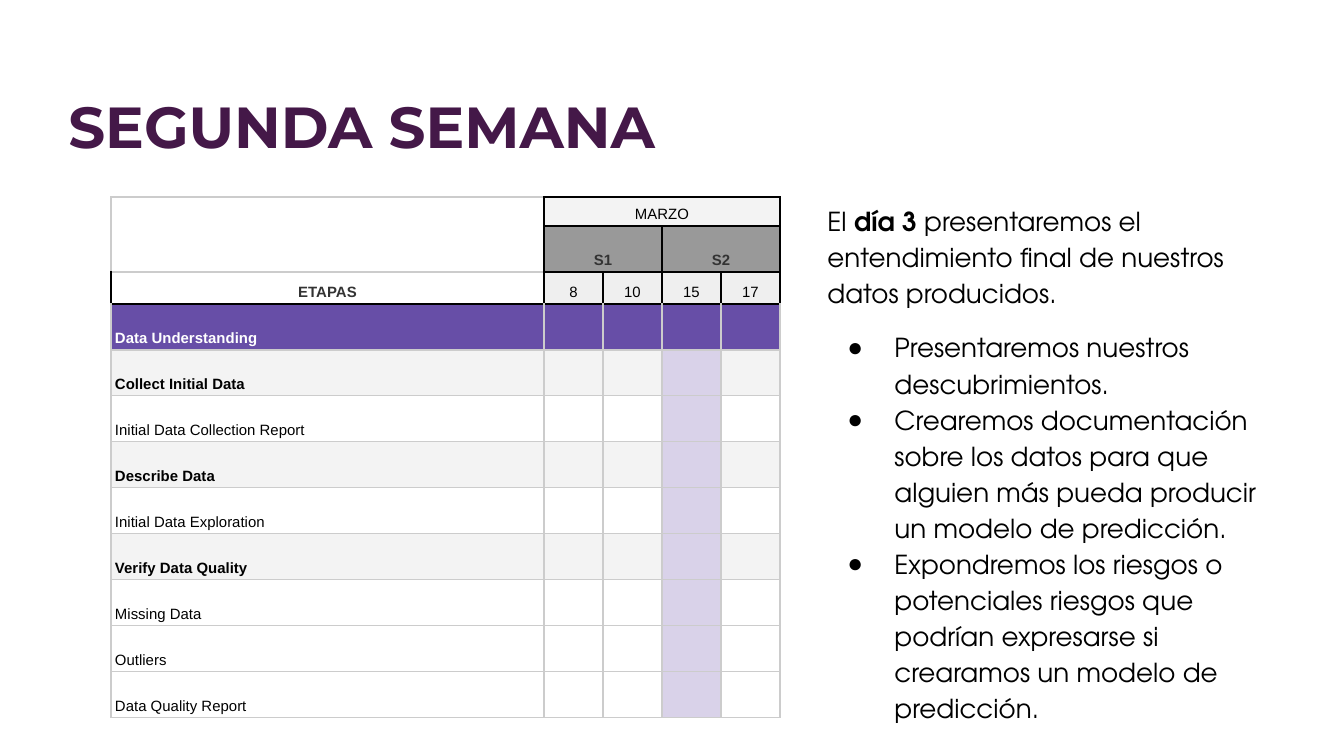
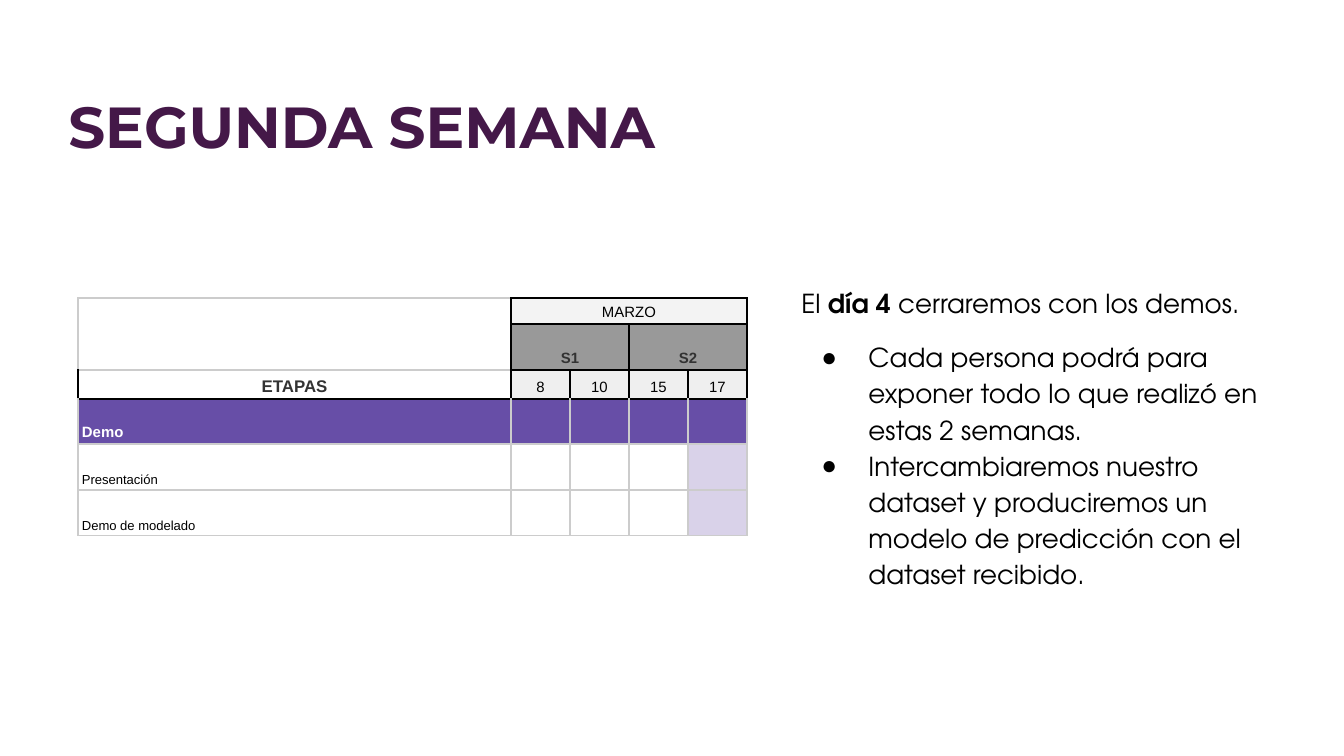
import pptx
import pptx.util
import pptx.dml.color
import pptx.enum.text
import pptx.oxml
import pptx.oxml.ns
from lxml import etree

RGB = pptx.dml.color.RGBColor
Pt = pptx.util.Pt
ALIGN = pptx.enum.text.PP_ALIGN
ANCHOR = pptx.enum.text.MSO_ANCHOR
qn = pptx.oxml.ns.qn

PLUM = RGB(0x44, 0x18, 0x48)
PURPLE = RGB(0x67, 0x4E, 0xA7)
LILAC = RGB(0xD9, 0xD2, 0xE9)
WHITE = RGB(0xFF, 0xFF, 0xFF)
BLACK = RGB(0, 0, 0)
CHARCOAL = RGB(0x33, 0x33, 0x33)
GREY = RGB(0x99, 0x99, 0x99)
RULE = RGB(0xCC, 0xCC, 0xCC)
PALE = RGB(0xEF, 0xEF, 0xEF)
PALER = RGB(0xF3, 0xF3, 0xF3)

# Content shared by both slides
TITLE = "SEGUNDA SEMANA"
TITLE_BOX = (55, 56, 1261, 94)
MONTH = "MARZO"
WEEKS = ["S1", "S2"]
DAYS = ["8", "10", "15", "17"]
COL_WIDTHS = [433, 59, 59, 59, 59]
HEADER_ROWS = 3

# Content of each slide; stages are (label, kind), marked is the column of the day
SLIDES = [
    {
        "intro": ["El ", "día 3 ",
                  "presentaremos el entendimiento final de nuestros datos producidos."],
        "bullets": [
            "Presentaremos nuestros descubrimientos.",
            "Crearemos documentación sobre los datos para que alguien más pueda "
            "producir un modelo de predicción.",
            "Expondremos los riesgos o potenciales riesgos que podrían expresarse "
            "si crearamos un modelo de predicción.",
        ],
        "body_box": (814, 187, 462, 551),
        "stages": [
            ("Data Understanding", "band"),
            ("Collect Initial Data", "group"),
            ("Initial Data Collection Report", "item"),
            ("Describe Data", "group"),
            ("Initial Data Exploration", "item"),
            ("Verify Data Quality", "group"),
            ("Missing Data", "item"),
            ("Outliers", "item"),
            ("Data Quality Report", "item"),
        ],
        "marked": 3,
        "table_at": (111, 197),
        "row_heights": [29, 46, 32] + [46] * 9,
        "etapas_size": 8,
        "item_size": 8,
    },
    {
        "intro": ["El ", "día 4 ", "cerraremos con los demos."],
        "bullets": [
            "Cada persona podrá para exponer todo lo que realizó en estas 2 semanas.",
            "Intercambiaremos nuestro dataset y produciremos un modelo de predicción "
            "con el dataset recibido.",
        ],
        "body_box": (788, 269, 493, 296),
        "stages": [
            ("Demo", "band"),
            ("Presentación", "item"),
            ("Demo de modelado", "item"),
        ],
        "marked": 4,
        "table_at": (78, 298),
        "row_heights": [26, 46, 29, 45, 46, 46],
        "etapas_size": 9,
        "item_size": 7,
    },
]


def px(n):
    return round(n * 914400 / 134.4)


def style_run(r, font, size, color, bold=False):
    r.font.name = font
    r.font.size = Pt(size)
    r.font.color.rgb = color
    r.font.bold = bold


def place(sp, box):
    sp.left, sp.top, sp.width, sp.height = map(px, box)
    tf = sp.text_frame
    tf.word_wrap = True
    tf.auto_size = pptx.enum.text.MSO_AUTO_SIZE.NONE
    tf.vertical_anchor = ANCHOR.TOP
    tf.margin_left = tf.margin_right = tf.margin_top = tf.margin_bottom = Pt(7.2)
    return tf


def add_title(s):
    tf = place(s.shapes.title, TITLE_BOX)
    tf.text = TITLE
    p = tf.paragraphs[0]
    p.alignment = ALIGN.LEFT
    p.line_spacing = 1.3
    p.space_after = Pt(6)
    style_run(p.runs[0], "Montserrat", 31, PLUM, True)


def set_bullet(p, char):
    pPr = p._p.get_or_add_pPr()
    pPr.set("marL", str(px(67) if char else 0))
    pPr.set("indent", str(-px(47) if char else 0))
    if char:
        etree.SubElement(pPr, qn("a:buChar"), char=char)
    else:
        etree.SubElement(pPr, qn("a:buNone"))


def add_body(s, content):
    tf = place(s.placeholders[1], content["body_box"])
    paragraphs = [content["intro"]] + [[text] for text in content["bullets"]]
    for i, parts in enumerate(paragraphs):
        p = tf.paragraphs[0] if i == 0 else tf.add_paragraph()
        set_bullet(p, "●" if i else None)
        p.line_spacing = 1.15
        p.space_before = Pt(10 if i == 1 else 0)
        for j, text in enumerate(parts):
            r = p.add_run()
            r.text = text
            style_run(r, "TeX Gyre Adventor", 14, BLACK, j == 1)


def border_color(row, col, side):
    day_header = row < HEADER_ROWS and col > 0
    corner_edge = row < 2 and side == "R"
    etapas_edge = row == 2 and side != "T"
    band_top = row == HEADER_ROWS and side == "T"
    return BLACK if day_header or corner_edge or etapas_edge or band_top else RULE


def set_borders(cell, row, col):
    tcPr = cell._tc.get_or_add_tcPr()
    for i, side in enumerate("LRTB"):
        ln = etree.Element(qn("a:ln" + side), w=str(Pt(0.75)))
        fill = etree.SubElement(ln, qn("a:solidFill"))
        etree.SubElement(fill, qn("a:srgbClr"), val=str(border_color(row, col, side)))
        tcPr.insert(i, ln)


def set_fill(cell, color):
    if color is None:
        cell.fill.background()
    else:
        cell.fill.solid()
        cell.fill.fore_color.rgb = color


def write(cell, text, size=8, color=BLACK, bold=False, align=ALIGN.CENTER):
    cell.text_frame.text = text
    p = cell.text_frame.paragraphs[0]
    p.alignment = align
    p.line_spacing = 1.15
    style_run(p.runs[0], "Arial", size, color, bold)


def add_schedule(s, content):
    heights, stages = content["row_heights"], content["stages"]
    x, y = content["table_at"]
    table = s.shapes.add_table(len(heights), len(COL_WIDTHS), px(x), px(y),
                               px(sum(COL_WIDTHS)), px(sum(heights))).table
    table.first_row = table.horz_banding = False
    for column, width in zip(table.columns, COL_WIDTHS):
        column.width = px(width)
    for row, height in zip(table.rows, heights):
        row.height = px(height)

    # Fills, margins and borders
    header_fills = [PALER, GREY, PALE]
    stage_fills = {"band": PURPLE, "group": PALER, "item": None}
    for row in range(len(heights)):
        for col in range(len(COL_WIDTHS)):
            cell = table.cell(row, col)
            if row < HEADER_ROWS:
                fill = header_fills[row] if col else (WHITE if row == 2 else None)
            else:
                kind = stages[row - HEADER_ROWS][1]
                marked = col == content["marked"] and kind != "band"
                fill = LILAC if marked else stage_fills[kind]
            set_fill(cell, fill)
            set_borders(cell, row, col)
            cell.vertical_anchor = ANCHOR.BOTTOM
            cell.margin_left = cell.margin_right = px(4)
            cell.margin_top = cell.margin_bottom = px(3)
            # Small end mark keeps empty cells from stretching the row
            etree.SubElement(cell.text_frame.paragraphs[0]._p,
                             qn("a:endParaRPr"), sz="800")

    # Header
    table.cell(0, 0).merge(table.cell(1, 0))
    table.cell(0, 1).merge(table.cell(0, 4))
    write(table.cell(0, 1), MONTH)
    for i, week in enumerate(WEEKS):
        col = 1 + 2 * i
        table.cell(1, col).merge(table.cell(1, col + 1))
        write(table.cell(1, col), week, color=CHARCOAL, bold=True)
    write(table.cell(2, 0), "ETAPAS", content["etapas_size"], CHARCOAL, True)
    for col, day in enumerate(DAYS, 1):
        write(table.cell(2, col), day)

    # Stages
    for row, (label, kind) in enumerate(stages, HEADER_ROWS):
        write(table.cell(row, 0), label,
              size=content["item_size"] if kind == "item" else 8,
              color=WHITE if kind == "band" else BLACK,
              bold=kind != "item", align=ALIGN.LEFT)


def main():
    prs = pptx.Presentation()
    prs.slide_width, prs.slide_height = px(1344), px(756)
    for content in SLIDES:
        s = prs.slides.add_slide(prs.slide_layouts[1])
        add_title(s)
        add_body(s, content)
        add_schedule(s, content)
    prs.save("out.pptx")


if __name__ == "__main__":
    main()
